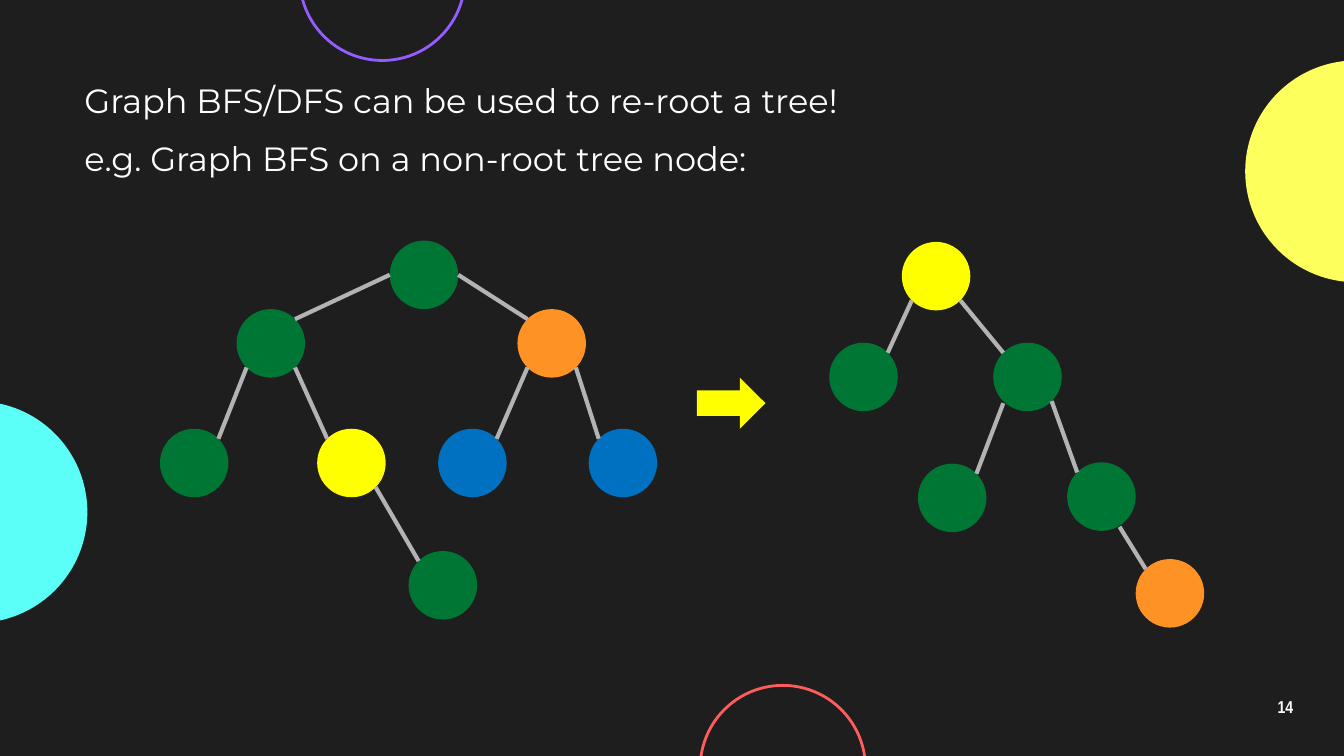
"""Build a slide showing a binary tree re-rooted by a graph BFS."""
from pptx import Presentation
from pptx.dml.color import RGBColor
from pptx.enum.shapes import MSO_CONNECTOR, MSO_SHAPE
from pptx.enum.text import MSO_ANCHOR, PP_ALIGN
from pptx.oxml.ns import qn
from pptx.util import Pt
from lxml import etree

OVAL, ARROW = MSO_SHAPE.OVAL, MSO_SHAPE.RIGHT_ARROW
STRAIGHT = MSO_CONNECTOR.STRAIGHT
TOP, MIDDLE = MSO_ANCHOR.TOP, MSO_ANCHOR.MIDDLE
LEFT, CENTER = PP_ALIGN.LEFT, PP_ALIGN.CENTER
PX = 4572
NODE, RADIUS, DIAGONAL = 102, 51, 36
COLORS = {
    "background": "1E1E1E", "white": "FFFFFF", "edge": "B3B3B3",
    "cyan": "5CFFF8", "lemon": "FDFF5C", "purple": "955CFF", "red": "FF5C5C",
    "green": "007635", "yellow": "FFFF00", "orange": "FF9225", "blue": "0070C0",
}
RGB = {name: RGBColor.from_string(value) for name, value in COLORS.items()}


def add_shape(kind, x, y, w, h, fill=None, line=None):
    sp = s.shapes.add_shape(kind, x * PX, y * PX, w * PX, h * PX)
    sp.shadow.inherit = False
    if fill:
        sp.fill.solid()
        sp.fill.fore_color.rgb = RGB[fill]
    else:
        sp.fill.background()
    if line:
        sp.line.color.rgb = RGB[line]
        sp.line.width = Pt(1.5)
    else:
        sp.line.fill.background()


def add_text(text, x, y, w, h, font, size, align=LEFT, anchor=TOP):
    tf = s.shapes.add_textbox(x * PX, y * PX, w * PX, h * PX).text_frame
    tf.word_wrap = True
    tf.vertical_anchor = anchor
    tf.margin_left = tf.margin_right = tf.margin_top = tf.margin_bottom = 20 * PX
    p = tf.paragraphs[0]
    p.text = text
    p.alignment = align
    p.font.name = font
    p.font.size = Pt(size)
    p.font.color.rgb = RGB["white"]
    return p


prs = Presentation()
prs.slide_width, prs.slide_height = 2000 * PX, 1125 * PX
s = prs.slides.add_slide(prs.slide_layouts[6])
s.background.fill.solid()
s.background.fill.fore_color.rgb = RGB["background"]

for x, y, size, fill, line in [
    (-200, 597, 330, "cyan", None),
    (1853, 90, 330, "lemon", None),
    (446, -156, 246, None, "purple"),
    (1042, 1020, 246, None, "red"),
]:
    add_shape(OVAL, x, y, size, size, fill, line)

p = add_text("14", 1853, 1020, 120, 68, "Arial Narrow", 9.2, CENTER, MIDDLE)
p.font.bold = True
p.line_spacing = 0.9

for i, text in enumerate([
    "Graph BFS/DFS can be used to re-root a tree!",
    "e.g. Graph BFS on a non-root tree node:",
]):
    add_text(text, 106, 99 + 87 * i, 1710, 86, "Montserrat", 18)

before = {
    "root": (580, 358, "green"),
    "left": (352, 460, "green"),
    "right": (770, 460, "orange"),
    "left.left": (238, 638, "green"),
    "left.right": (472, 638, "yellow"),
    "right.left": (652, 638, "blue"),
    "right.right": (876, 638, "blue"),
    "left.right.right": (608, 820, "green"),
}
after = {
    "root": (1342, 360, "yellow"),
    "left": (1234, 510, "green"),
    "right": (1478, 510, "green"),
    "right.left": (1366, 690, "green"),
    "right.right": (1588, 688, "green"),
    "right.right.right": (1690, 832, "orange"),
}
before_exits = {"left": (RADIUS, 0), "right": (RADIUS, 0)}
after_exits = {"right.left": (DIAGONAL, 39), "right.right.right": (27, 45)}

for tree, exits in [(before, before_exits), (after, after_exits)]:
    for name, (x, y, color) in tree.items():
        add_shape(OVAL, x, y, NODE, NODE, color)
        if name == "root":
            continue
        parent, _, side = name.rpartition(".")
        px, py, _ = tree[parent or "root"]
        sign = -1 if side == "left" else 1
        dx, dy = exits.get(name, (DIAGONAL, DIAGONAL))
        edge = s.shapes.add_connector(
            STRAIGHT,
            (px + RADIUS + sign * dx) * PX, (py + RADIUS + dy) * PX,
            (x + RADIUS - sign * DIAGONAL) * PX, (y + RADIUS - DIAGONAL) * PX,
        )
        edge.line.color.rgb = RGB["edge"]
        edge.line.width = Pt(2.25)
        etree.SubElement(edge._element.spPr, qn("a:effectLst"))

add_shape(ARROW, 1037, 562, 102, 76, "yellow")

prs.save("out.pptx")
